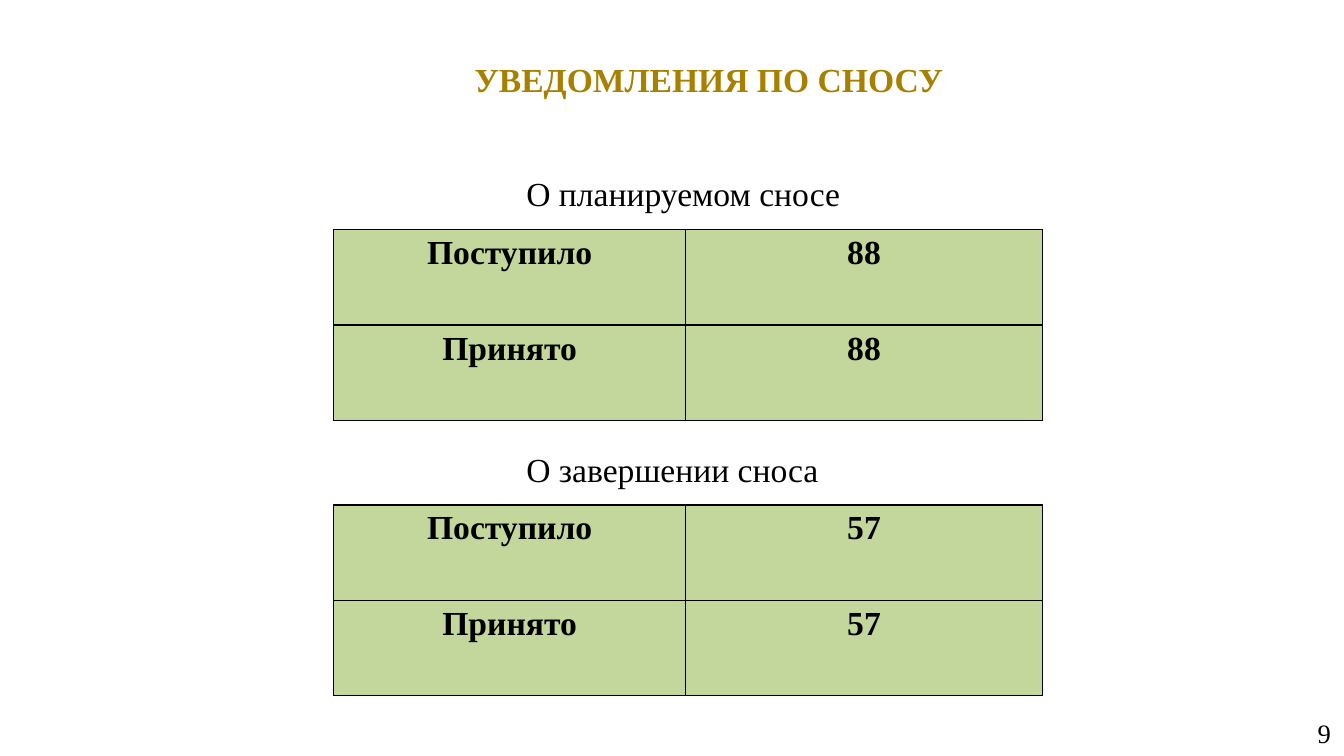
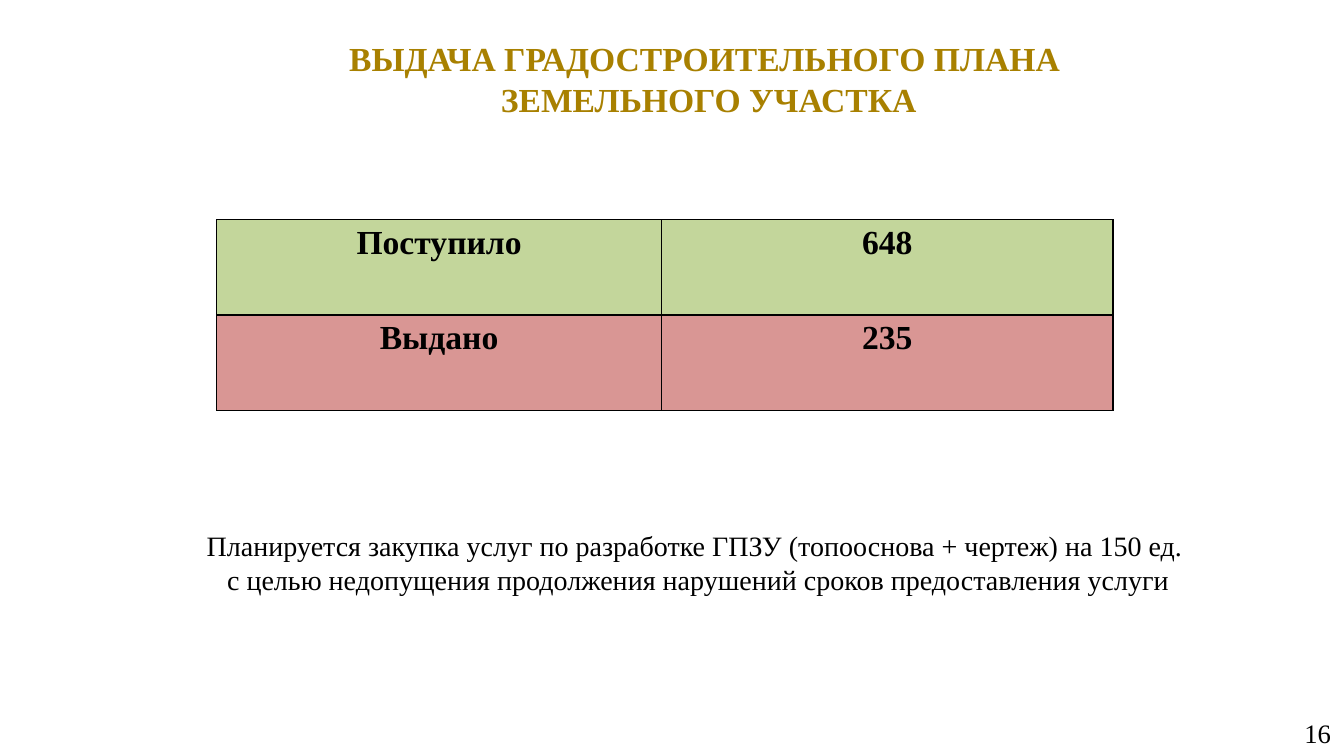
from lxml.etree import SubElement as Sub
from pptx import Presentation
from pptx.dml.color import RGBColor as Rgb
from pptx.enum.text import MSO_ANCHOR as Anchor, MSO_AUTO_SIZE as Auto, PP_ALIGN as Align
from pptx.oxml.ns import qn
from pptx.util import Inches, Pt

FONT = "Times New Roman"
GOLD, BLACK, GREEN, RED = "A88000", "000000", "C3D69B", "D99694"
ROW = 0.945


def color(code):
    return Rgb.from_string(code)


def style(frame, size, code=BLACK, bold=False, align=Align.CENTER):
    for para in frame.paragraphs:
        para.alignment = align
        for run in para.runs:
            font = run.font
            font.name, font.size, font.bold = FONT, Pt(size), bold
            font.color.rgb = color(code)


def fit(frame, anchor):
    frame.word_wrap = True
    frame.auto_size = Auto.NONE
    frame.vertical_anchor = anchor
    frame.margin_left = frame.margin_right = Inches(0.13)
    frame.margin_top = frame.margin_bottom = Inches(0.07)


def label(slide, text, box, size, align=Align.CENTER, anchor=Anchor.MIDDLE):
    frame = slide.shapes.add_textbox(*map(Inches, box)).text_frame
    fit(frame, anchor)
    frame.text = text
    style(frame, size, align=align)


def border(cell):
    props = cell._tc.get_or_add_tcPr()
    for side in ("lnL", "lnR", "lnT", "lnB"):
        line = Sub(props, qn("a:" + side), w=str(Pt(0.96)))
        fill = Sub(line, qn("a:solidFill"))
        Sub(fill, qn("a:srgbClr"), val=BLACK)


def table(slide, left, top, widths, rows):
    box = (left, top, sum(widths), ROW * len(rows))
    grid = slide.shapes.add_table(len(rows), len(widths), *map(Inches, box)).table
    for col, width in zip(grid.columns, widths):
        col.width = Inches(width)
    for r, (name, count, tint) in enumerate(rows):
        for c, text in enumerate((name, count)):
            cell = grid.cell(r, c)
            cell.text = text
            cell.margin_left = cell.margin_right = Inches(0.13)
            cell.margin_top = cell.margin_bottom = Inches(0.05)
            style(cell.text_frame, 24, bold=True)
            border(cell)
            cell.fill.solid()
            cell.fill.fore_color.rgb = color(tint)


def page(deck, text, number):
    slide = deck.slides.add_slide(deck.slide_layouts[5])
    title = slide.shapes.title
    title.left, title.top, title.width, title.height = map(Inches, (1.31, 0.28, 11.44, 1))
    frame = title.text_frame
    fit(frame, Anchor.MIDDLE)
    frame.text = text
    style(frame, 24, GOLD, True)
    label(slide, number, (10.22, 7.07, 3.11, 0.4), 19, Align.RIGHT)
    return slide


def notices(deck):
    slide = page(deck, "УВЕДОМЛЕНИЯ ПО СНОСУ", "9")
    groups = (("О планируемом сносе", "88"), ("О завершении сноса", "57"))
    for i, (name, count) in enumerate(groups):
        top = 1.65 + 2.73 * i
        label(slide, name, (5.09, top, 3.46, 0.53), 24, Align.LEFT, Anchor.TOP)
        rows = [(word, count, GREEN) for word in ("Поступило", "Принято")]
        table(slide, 3.31, top + 0.63, (3.49, 3.54), rows)


def plans(deck):
    slide = page(deck, "ВЫДАЧА ГРАДОСТРОИТЕЛЬНОГО ПЛАНА \vЗЕМЕЛЬНОГО УЧАСТКА", "16")
    rows = (("Поступило", "648", GREEN), ("Выдано", "235", RED))
    table(slide, 2.15, 2.18, (4.41, 4.48), rows)
    text = ("Планируется закупка услуг по разработке ГПЗУ (топооснова + чертеж) на 150 ед. \n"
            "с целью недопущения продолжения нарушений сроков предоставления услуги")
    label(slide, text, (0.97, 4.97, 11.91, 1.22), 20)


def main():
    deck = Presentation()
    deck.slide_width, deck.slide_height = Inches(13.33), Inches(7.5)
    notices(deck)
    plans(deck)
    deck.save("out.pptx")


main()
